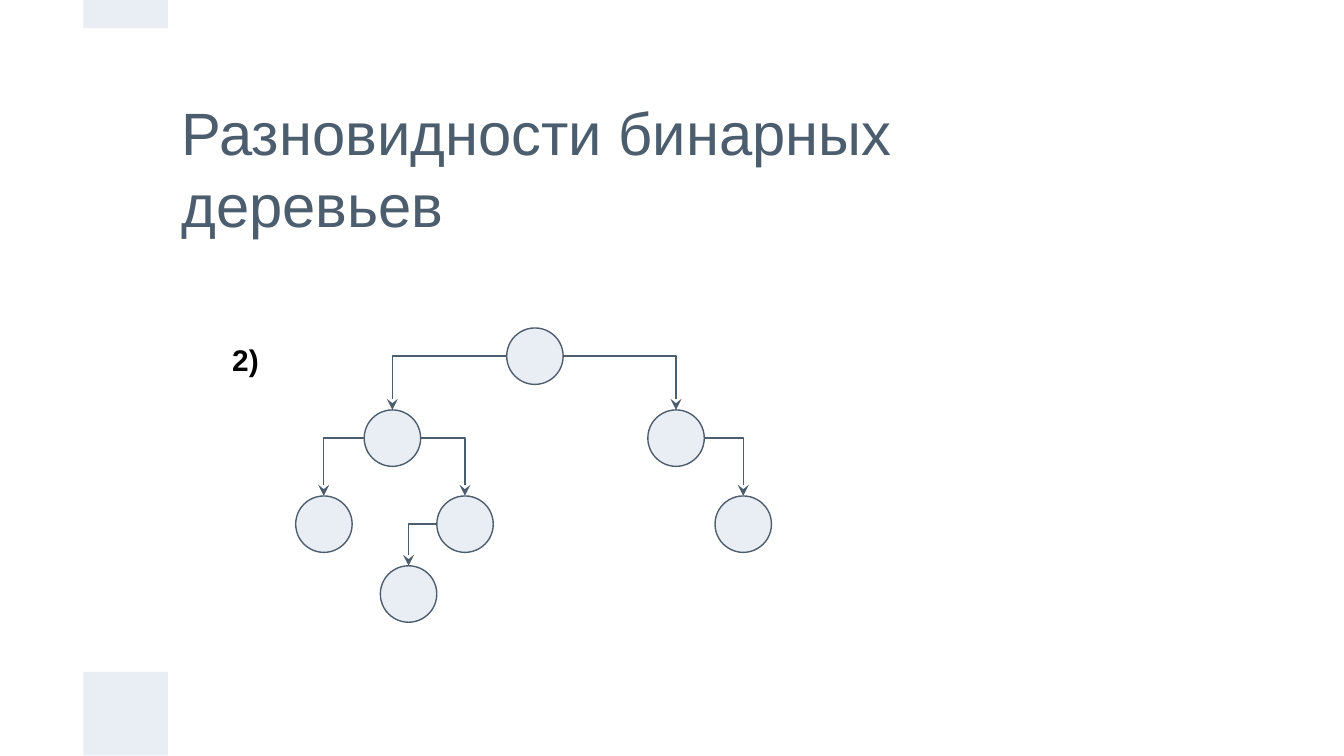
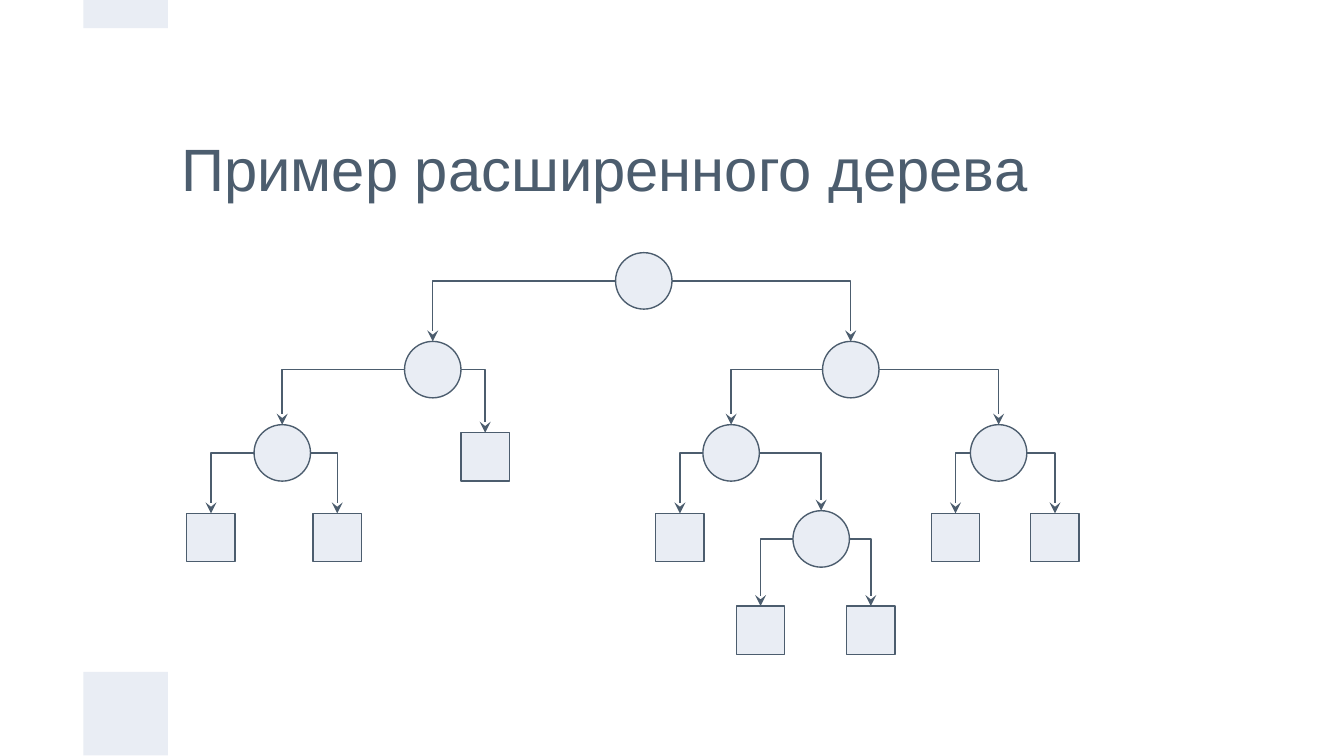
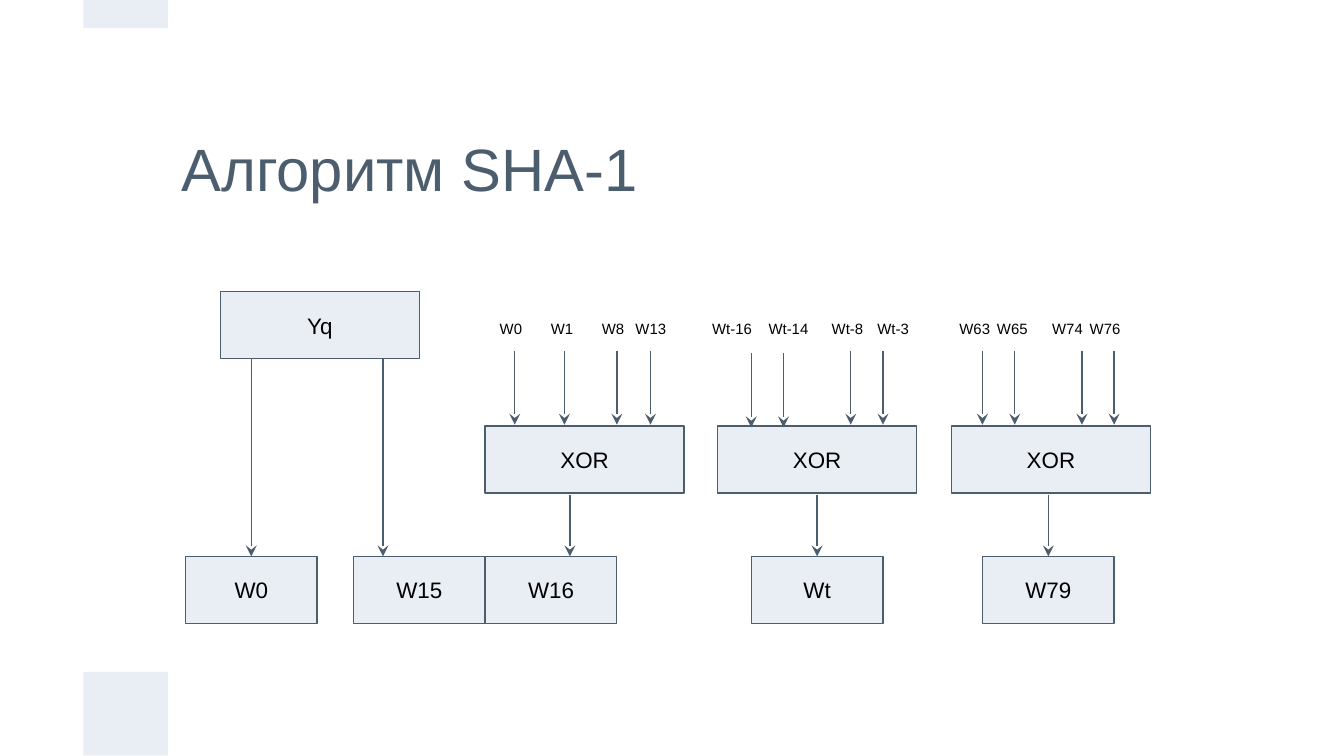
from dataclasses import dataclass

from lxml.etree import SubElement
from pptx import Presentation
from pptx.dml.color import RGBColor
from pptx.enum.shapes import MSO_CONNECTOR as Link, MSO_SHAPE as Form
from pptx.enum.text import MSO_ANCHOR as Anchor, MSO_AUTO_SIZE as Fit, PP_ALIGN as Align
from pptx.oxml.ns import qn
from pptx.util import Inches, Pt


@dataclass(frozen=True)
class Theme:
    """Colours, font and sizes shared by the slides."""
    pale: RGBColor = RGBColor(0xE9, 0xED, 0xF4)
    slate: RGBColor = RGBColor(0x4C, 0x5D, 0x6E)
    black: RGBColor = RGBColor(0, 0, 0)
    font: str = "Arial"
    title: int = 32
    number: int = 16
    block: int = 12
    label: int = 8
    line: float = 0.75
    inset: float = 0.1


@dataclass(frozen=True)
class Box:
    """A rectangle in inches."""
    left: float
    top: float
    width: float
    height: float

    def inner(self, left, top, width, height):
        """Return a box given relative to this one."""
        return Box(self.left + left, self.top + top, width, height)

    def lengths(self):
        """Return the four sides as slide lengths."""
        return [Inches(side) for side in (self.left, self.top, self.width, self.height)]


@dataclass(frozen=True)
class Node:
    """A tree node with its centre, top and children."""
    centre: float
    top: float
    children: tuple = ()
    square: bool = False

    def box(self, region):
        """Return the node's box inside the tree region."""
        size = 0.36 if self.square else 0.42
        return region.inner(self.centre - size / 2, self.top, size, size)


THEME = Theme()
TITLE_BOX = Box(1.25, 0.62, 7.5, 1.25)
BANDS = (Box(0.62, 5, 0.63, 0.62), Box(0.62, 0, 0.63, 0.21))


def leaf(centre, top):
    """Return a square external node."""
    return Node(centre, top, square=True)


BINARY_TREE = Node(1.78, 0, (
    Node(0.72, 0.61, (
        Node(0.21, 1.25),
        Node(1.26, 1.25, (Node(0.84, 1.77),)))),
    Node(2.83, 0.61, (Node(3.33, 1.25),))))

EXTENDED_TREE = Node(3.4, 0, (
    Node(1.83, 0.66, (
        Node(0.71, 1.28, (leaf(0.18, 1.94), leaf(1.12, 1.94))),
        leaf(2.22, 1.34))),
    Node(4.94, 0.66, (
        Node(4.05, 1.28, (
            leaf(3.67, 1.94),
            Node(4.72, 1.92, (leaf(4.27, 2.63), leaf(5.09, 2.63))))),
        Node(6.04, 1.28, (leaf(5.72, 1.94), leaf(6.46, 1.94)))))))

WORDS = (("W0", 0), ("W15", 1.25), ("W16", 2.23), ("Wt", 4.21), ("W79", 5.93))

XOR_GROUPS = (
    (2.23, 2.86, (("W0", 2.24, 2.45, 0.4), ("W1", 2.62, 2.82, 0.4),
                  ("W8", 3.0, 3.21, 0.4), ("W13", 3.25, 3.46, 0.5))),
    (3.96, 4.7, (("Wt-16", 3.82, 4.21, 0.56), ("Wt-14", 4.24, 4.45, 0.56),
                 ("Wt-8", 4.71, 4.95, 0.56), ("Wt-3", 5.05, 5.19, 0.56))),
    (5.7, 6.42, (("W63", 5.66, 5.93, 0.56), ("W65", 5.94, 6.17, 0.56),
                 ("W74", 6.35, 6.67, 0.56), ("W76", 6.63, 6.91, 0.56))),
)


def write(frame, text, size, color=THEME.black, align=Align.LEFT, anchor=Anchor.TOP, bold=False):
    """Write one formatted run into a text frame."""
    frame.word_wrap = True
    frame.auto_size = Fit.NONE
    frame.vertical_anchor = anchor
    inset = Inches(THEME.inset)
    frame.margin_left = frame.margin_right = frame.margin_top = frame.margin_bottom = inset
    para = frame.paragraphs[0]
    para.alignment = align
    para.line_spacing = 1.0
    span = para.add_run()
    span.text = text
    span.font.name = THEME.font
    span.font.size = Pt(size)
    span.font.bold = bold
    span.font.color.rgb = color


def add_form(page, form, box, outlined=True):
    """Add a pale shape, with or without an outline."""
    shape = page.shapes.add_shape(form, *box.lengths())
    shape.shadow.inherit = False
    shape.fill.solid()
    shape.fill.fore_color.rgb = THEME.pale
    if outlined:
        shape.line.color.rgb = THEME.slate
        shape.line.width = Pt(THEME.line)
    else:
        shape.line.fill.background()
    return shape


def add_block(page, box, text):
    """Add a rectangle with a centred caption."""
    block = add_form(page, Form.RECTANGLE, box)
    write(block.text_frame, text, THEME.block, align=Align.CENTER, anchor=Anchor.MIDDLE)


def add_label(page, box, text, size, bold=False):
    """Add a plain text box."""
    label = page.shapes.add_textbox(*box.lengths())
    write(label.text_frame, text, size, bold=bold)


def add_arrow(page, start, end, bent=False):
    """Add a straight arrow, or one that runs sideways and then down."""
    points = [Inches(value) for value in (*start, *end)]
    arrow = page.shapes.add_connector(Link.ELBOW if bent else Link.STRAIGHT, *points)
    arrow.line.color.rgb = THEME.slate
    arrow.line.width = Pt(THEME.line)
    properties = arrow.element.spPr
    if bent:
        properties.find(qn("a:prstGeom")).set("prst", "bentConnector2")
    SubElement(properties.find(qn("a:ln")), qn("a:tailEnd"), type="stealth")
    SubElement(properties, qn("a:effectLst"))


def add_page(deck, title):
    """Add a slide with a formatted title."""
    page = deck.slides.add_slide(deck.slide_layouts[5])
    heading = page.shapes.title
    heading.left, heading.top, heading.width, heading.height = TITLE_BOX.lengths()
    write(heading.text_frame, title, THEME.title, THEME.slate, anchor=Anchor.MIDDLE)
    return page


def add_bands(deck, page):
    """Draw the bands and move them behind everything on the master."""
    tree = deck.slide_master.shapes.element
    for number, box in enumerate(BANDS):
        band = add_form(page, Form.RECTANGLE, box, outlined=False)
        band.element.nvSpPr.cNvPr.set("id", str(100 + number))
        tree.insert(2 + number, band.element)


def add_tree(page, region, node):
    """Draw a node, its arrows and its subtrees."""
    box = node.box(region)
    add_form(page, Form.RECTANGLE if node.square else Form.OVAL, box)
    for child in node.children:
        side = box.left if child.centre < node.centre else box.left + box.width
        end = (region.left + child.centre, region.top + child.top)
        add_arrow(page, (side, box.top + box.height / 2), end, bent=True)
        add_tree(page, region, child)


def add_schedule(page, region):
    """Draw the message schedule of the hash."""
    def arrow(x, top, bottom):
        """Add a vertical arrow inside the region."""
        add_arrow(page, (region.left + x, region.top + top), (region.left + x, region.top + bottom))

    add_block(page, region.inner(0.26, 0, 1.48, 0.5), "Yq")
    for x in (0.49, 1.47):
        arrow(x, 0.5, 1.97)
    for text, left in WORDS:
        add_block(page, region.inner(left, 1.97, 0.98, 0.5), text)
    for left, output, inputs in XOR_GROUPS:
        add_block(page, region.inner(left, 1, 1.48, 0.5), "XOR")
        arrow(output, 1.51, 1.97)
        for text, label_left, x, width in inputs:
            drop = 0.02 if text in ("Wt-16", "Wt-14") else 0
            arrow(x, 0.44 + drop, 0.99 + drop)
            add_label(page, region.inner(label_left, 0.11, width, 0.27), text, THEME.label)


def main():
    """Build and save the deck."""
    deck = Presentation()
    deck.slide_width = Inches(10)
    deck.slide_height = deck.slide_width * 9 // 16

    page = add_page(deck, "Разновидности бинарных деревьев")
    add_bands(deck, page)
    add_label(page, Box(1.63, 2.44, 0.57, 0.43), "2)", THEME.number, bold=True)
    add_tree(page, Box(2.2, 2.44, 3.54, 2.19), BINARY_TREE)

    page = add_page(deck, "Пример расширенного дерева")
    add_tree(page, Box(1.39, 1.88, 6.64, 2.99), EXTENDED_TREE)

    page = add_page(deck, "Алгоритм SHA-1")
    add_schedule(page, Box(1.38, 2.17, 7.18, 2.47))

    deck.save("out.pptx")


if __name__ == "__main__":
    main()
